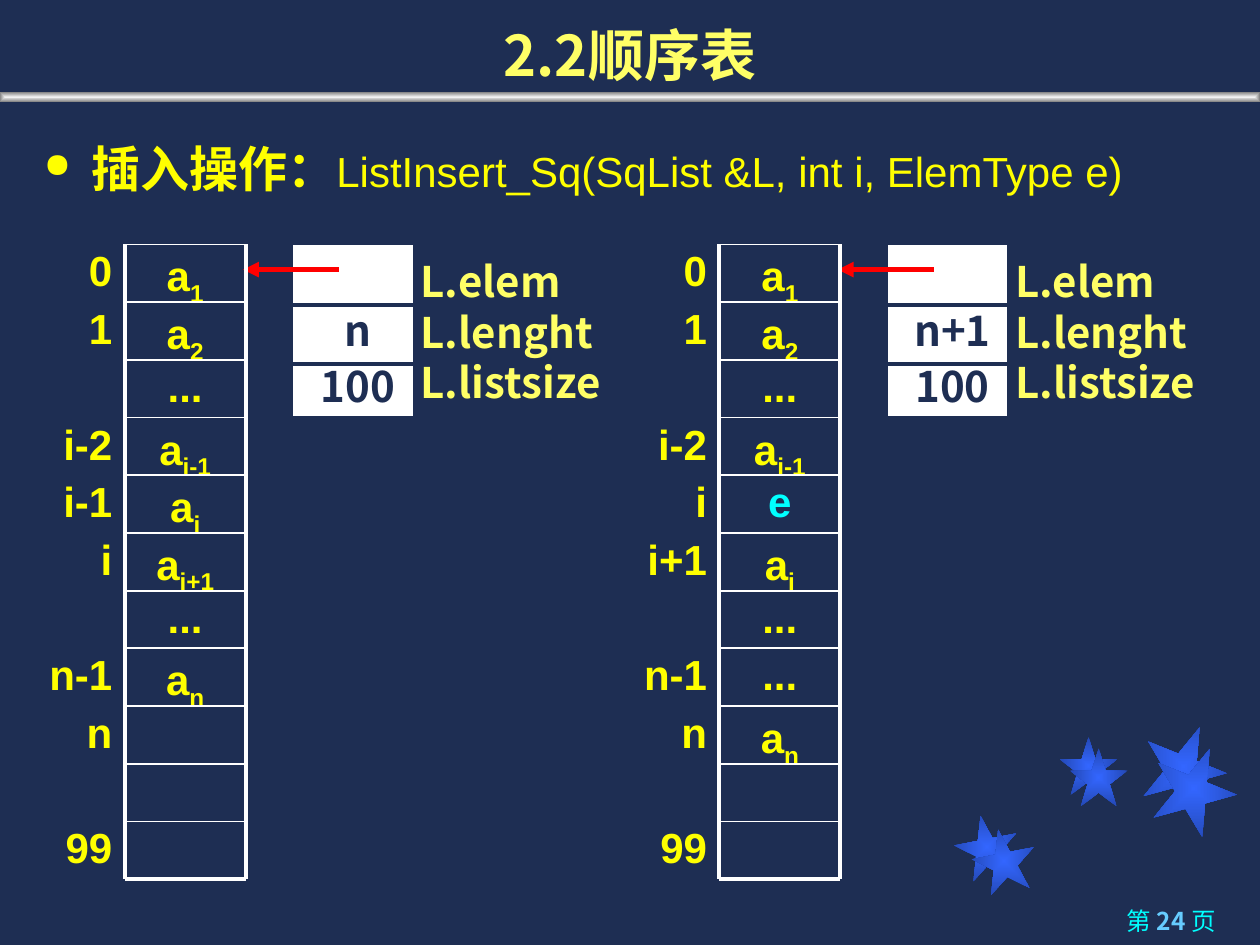
from dataclasses import dataclass
from typing import NamedTuple

from lxml import etree
from pptx import Presentation
from pptx import util as u
from pptx.dml.color import RGBColor
from pptx.enum import shapes, text
from pptx.oxml import ns


@dataclass(frozen=True)
class Theme:
    navy: str = "1E2E53"
    title: str = "FFFF66"
    yellow: str = "FFFF00"
    cyan: str = "00FFFF"
    sky: str = "66CCFF"
    white: str = "FFFFFF"
    red: str = "FF0000"
    star: tuple = ("3366FF", "2449B6")
    bar: tuple = ("F2F2F2", "808080")
    latin: str = "Arial"
    han: str = "Noto Sans CJK SC"
    title_size: int = 32
    heading_size: int = 28
    body_size: int = 24
    footer_size: int = 14
    thin: float = 1
    medium: float = 2.25
    thick: float = 3


class Star(NamedTuple):
    left: float
    top: float
    size: float
    turn: float


class Row(NamedTuple):
    index: str = ""
    value: str = ""
    subscript: str = ""
    color: str = Theme.yellow


class SequenceList(NamedTuple):
    left: float
    length: str
    rows: list


THEME = Theme()
ALIGN = text.PP_ALIGN
ROW_TOP, ROW_HEIGHT, CELL_WIDTH = 1.94, 0.458, 0.96
STARS = [
    Star(7.58, 6.47, 0.5, 349), Star(8.41, 5.85, 0.46, 0), Star(9.06, 5.75, 0.67, 22),
    Star(7.72, 6.58, 0.5, 349), Star(8.49, 5.94, 0.46, 0), Star(9.14, 5.92, 0.67, 22),
]
HEAD = [Row("0", "a", "1"), Row("1", "a", "2"), Row("", "..."), Row("i-2", "a", "i-1")]
TAIL = [Row(), Row("99")]
LISTS = [
    SequenceList(0.03, "n", HEAD + [
        Row("i-1", "a", "i"), Row("i", "a", "i+1"), Row("", "..."),
        Row("n-1", "a", "n"), Row("n")] + TAIL),
    SequenceList(4.75, "n+1", HEAD + [
        Row("i", "e", color=THEME.cyan), Row("i+1", "a", "i"), Row("", "..."),
        Row("n-1", "..."), Row("n", "a", "n")] + TAIL),
]


def rgb(color: str) -> RGBColor:
    return RGBColor.from_string(color)


def add_tag(parent, tag: str, **attributes):
    return etree.SubElement(parent, ns.qn(tag), **attributes)


def style(para, size: int, color: str, name: str, bold: bool = True) -> None:
    font = para.font
    font.size, font.bold, font.name = u.Pt(size), bold, name
    font.color.rgb = rgb(color)
    add_tag(para._p.pPr.find(ns.qn("a:defRPr")), "a:ea", typeface=THEME.han)


def add_span(para, words: str):
    span = para.add_run()
    span.text = words
    return span


def add_box(parent, left: float, top: float, width: float, height: float):
    box = parent.add_textbox(u.Inches(left), u.Inches(top), u.Inches(width), u.Inches(height))
    box.text_frame.word_wrap = True
    return box.text_frame


def add_lines(frame, lines: list, color: str, align=ALIGN.LEFT, spacing: float = 1.0) -> None:
    for number, words in enumerate(lines):
        para = frame.add_paragraph() if number else frame.paragraphs[0]
        para.alignment, para.line_spacing = align, spacing
        style(para, THEME.body_size, color, THEME.han)
        add_span(para, words)


def add_shape(parent, kind, left: float, top: float, width: float, height: float):
    shape = parent.add_shape(kind, u.Inches(left), u.Inches(top), u.Inches(width), u.Inches(height))
    shape.shadow.inherit = False
    return shape


def fill_from_center(shape, colors: tuple) -> None:
    shape.line.fill.background()
    shape.fill.gradient()
    for stop, color in zip(shape.fill.gradient_stops, colors):
        stop.color.rgb = rgb(color)
    gradient = shape._element.spPr.find(ns.qn("a:gradFill"))
    gradient.remove(gradient.find(ns.qn("a:lin")))
    center = add_tag(gradient, "a:path", path="shape")
    add_tag(center, "a:fillToRect", l="50000", t="50000", r="50000", b="50000")


def add_line(parent, x1: float, y1: float, x2: float, y2: float,
             color: str, width: float, arrow: bool = False) -> None:
    line = parent.add_connector(shapes.MSO_CONNECTOR.STRAIGHT,
                                u.Inches(x1), u.Inches(y1), u.Inches(x2), u.Inches(y2))
    line.line.color.rgb = rgb(color)
    line.line.width = u.Pt(width)
    if arrow:
        add_tag(line.line._get_or_add_ln(), "a:tailEnd", type="triangle")
    add_tag(line._element.spPr, "a:effectLst")


def add_cell(parent, left: float, top: float, words: str, align,
             color: str, subscript: str = "") -> None:
    para = add_box(parent, left, top, CELL_WIDTH, ROW_HEIGHT).paragraphs[0]
    para.alignment, para.line_spacing = align, 0.9
    style(para, THEME.body_size, color, THEME.latin)
    add_span(para, words)
    if subscript:
        add_span(para, subscript)._r.get_or_add_rPr().set("baseline", "-25000")


def add_record(parent, left: float, length: str) -> None:
    fields = add_box(parent, left + 0.93, 1.98, 2, 1.3)
    add_lines(fields, ["L.elem", "L.lenght", "L.listsize"], THEME.title)
    panel = add_shape(parent, shapes.MSO_SHAPE.RECTANGLE, left, 1.93, 0.98, 1.39)
    panel.fill.solid()
    panel.fill.fore_color.rgb = rgb(THEME.white)
    panel.line.color.rgb = rgb(THEME.navy)
    panel.line.width = u.Pt(THEME.medium)
    for y in (2.42, 2.89):
        add_line(parent, left, y, left + 0.99, y, THEME.navy, THEME.medium)
    values = add_box(parent, left, 2.33, 1.06, 0.98)
    add_lines(values, [length, "100"], THEME.navy, ALIGN.CENTER, 1.1)
    add_line(parent, left + 0.38, 2.14, left - 0.38, 2.14, THEME.red, THEME.thick, arrow=True)


def add_sequence(page, sequence: SequenceList) -> None:
    group = page.shapes.add_group_shape().shapes
    left = sequence.left + CELL_WIDTH
    right = left + CELL_WIDTH
    bottom = ROW_TOP + ROW_HEIGHT * len(sequence.rows)
    add_record(group, sequence.left + 2.28, sequence.length)
    for number, row in enumerate(sequence.rows):
        top = ROW_TOP + ROW_HEIGHT * number
        if row.value:
            add_cell(group, left, top, row.value, ALIGN.CENTER, row.color, row.subscript)
        if row.index:
            add_cell(group, sequence.left, top, row.index, ALIGN.RIGHT, THEME.yellow)
        add_line(group, left, top, right, top, THEME.white, THEME.thin)
    add_line(group, left, bottom, right, bottom, THEME.white, THEME.medium)
    for x in (left, right):
        add_line(group, x, ROW_TOP, x, bottom, THEME.white, THEME.medium)


def add_title(page) -> None:
    title = page.shapes.title
    title.left, title.top, title.width, title.height = map(u.Inches, (0, 0, 10, 0.75))
    frame = title.text_frame
    frame.vertical_anchor = text.MSO_ANCHOR.BOTTOM
    frame.auto_size = text.MSO_AUTO_SIZE.NONE
    para = frame.paragraphs[0]
    para.alignment = ALIGN.CENTER
    style(para, THEME.title_size, THEME.title, THEME.han)
    add_span(para, "2.2顺序表")


def add_heading(page) -> None:
    para = add_box(page.shapes, 0.25, 1, 9.43, 0.88).paragraphs[0]
    para.line_spacing = 1.1
    properties = para._p.get_or_add_pPr()
    properties.set("marL", str(u.Inches(0.38)))
    properties.set("indent", str(u.Inches(-0.38)))
    add_tag(add_tag(properties, "a:buClr"), "a:srgbClr", val=THEME.yellow)
    add_tag(properties, "a:buSzPct", val="70000")
    add_tag(properties, "a:buChar", char="●")
    style(para, THEME.heading_size, THEME.yellow, THEME.latin)
    add_span(para, "插入操作：")
    signature = add_span(para, "ListInsert_Sq(SqList &L, int i, ElemType e)")
    signature.font.size, signature.font.bold = u.Pt(THEME.body_size), False


def add_page_number(page) -> None:
    para = add_box(page.shapes, 7.12, 7.14, 2.63, 0.36).paragraphs[0]
    para.alignment = ALIGN.RIGHT
    style(para, THEME.footer_size, THEME.cyan, THEME.han, bold=False)
    add_span(para, "第 ")
    number = add_span(para, "24 ")
    number.font.bold = True
    number.font.color.rgb = rgb(THEME.sky)
    add_span(para, "页")


def main() -> None:
    deck = Presentation()
    deck.slide_width, deck.slide_height = u.Inches(10), u.Inches(7.5)
    page = deck.slides.add_slide(deck.slide_layouts[5])
    page.background.fill.solid()
    page.background.fill.fore_color.rgb = rgb(THEME.navy)
    cluster = page.shapes.add_group_shape().shapes
    for star in STARS:
        shape = add_shape(cluster, shapes.MSO_SHAPE.STAR_5_POINT,
                          star.left, star.top, star.size, star.size)
        shape.rotation = star.turn
        fill_from_center(shape, THEME.star)
    bar = add_shape(page.shapes, shapes.MSO_SHAPE.RECTANGLE, 0, 0.73, 10, 0.08)
    fill_from_center(bar, THEME.bar)
    add_page_number(page)
    add_title(page)
    add_heading(page)
    for sequence in LISTS:
        add_sequence(page, sequence)
    deck.save("out.pptx")


if __name__ == "__main__":
    main()
